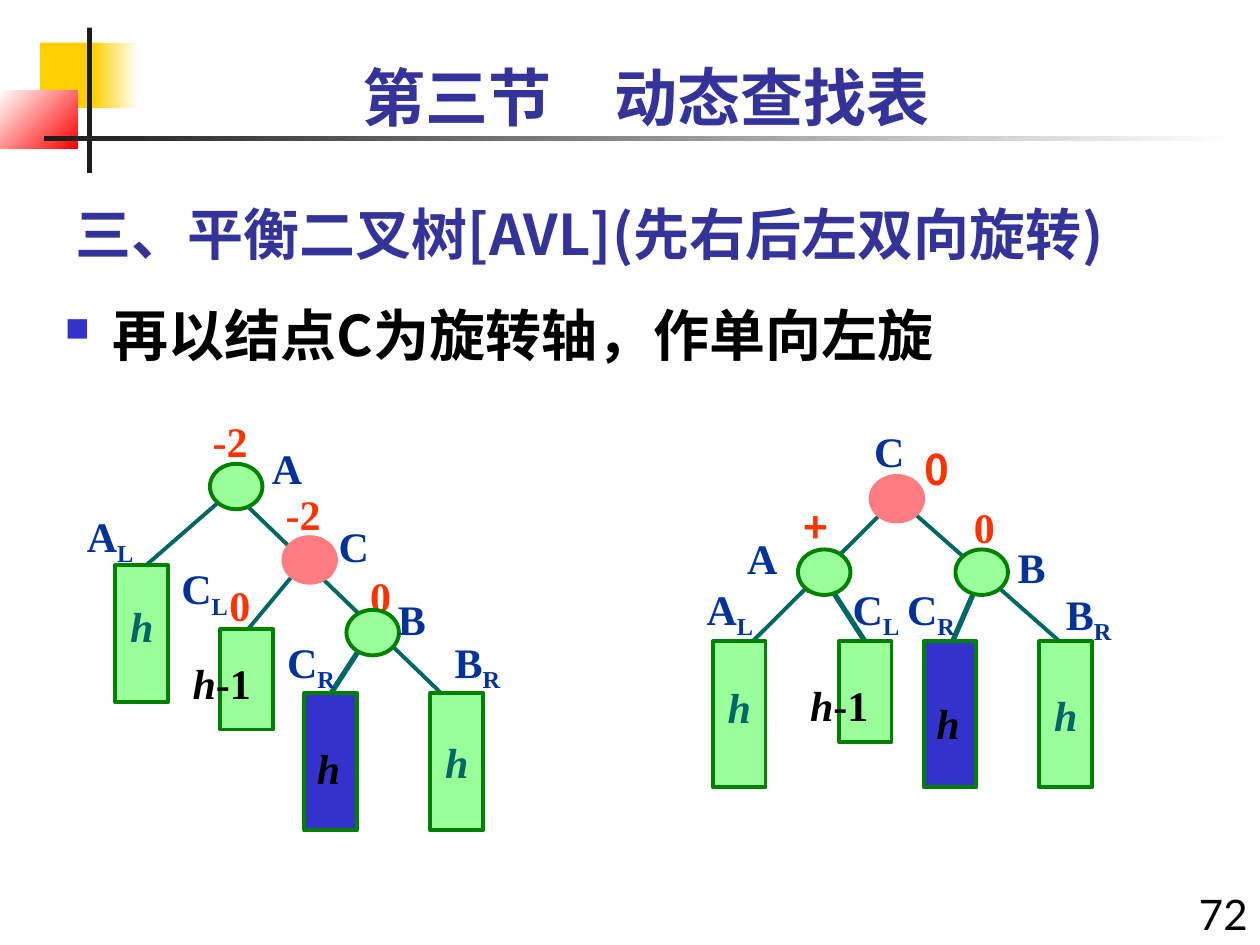
from dataclasses import dataclass

from lxml import etree
from pptx import Presentation
from pptx import util as u
from pptx.dml.color import RGBColor
from pptx.enum import shapes, text
from pptx.oxml.ns import qn

Pt = u.Pt
RECT = shapes.MSO_SHAPE.RECTANGLE
OVAL = shapes.MSO_SHAPE.OVAL


@dataclass(frozen=True)
class Theme:
    gold: str = "FFCF01"
    red: str = "FF0000"
    white: str = "FFFFFF"
    dark: str = "1C1C1C"
    black: str = "000000"
    title: str = "333399"
    blue: str = "3333CC"
    name: str = "003399"
    factor: str = "FF3300"
    teal: str = "006666"
    edge: str = "008000"
    green: str = "99FF99"
    pink: str = "FF7C80"
    sans: str = "Lato"
    han: str = "Noto Sans CJK SC"
    serif: str = "Times New Roman"
    big: int = 36
    head: int = 32
    small: int = 24
    thin: float = 2.25
    thick: float = 3


T = Theme()
NODE = 30, 26  # width, height of a tree node
BAR = 30       # width of a subtree bar


def rgb(code):
    return RGBColor.from_string(code)


def style(par, face, size, color, bold=True, slant=False):
    font = par.font
    font.name, font.size = face, Pt(size)
    font.bold, font.italic = bold, slant
    font.color.rgb = rgb(color)
    far = etree.SubElement(par._p.pPr.find(qn("a:defRPr")), qn("a:ea"))
    far.set("typeface", T.han)


def block(area, kind, x, y, w, h, fill, line=None):
    """Add a preset shape; a pair of fills makes a gradient."""
    shape = area.add_shape(kind, Pt(x), Pt(y), Pt(w), Pt(h))
    shape.shadow.inherit = False
    if isinstance(fill, tuple):
        shape.fill.gradient()
        for stop, code in zip(shape.fill.gradient_stops, fill):
            stop.color.rgb = rgb(code)
    else:
        shape.fill.solid()
        shape.fill.fore_color.rgb = rgb(fill)
    if line:
        shape.line.color.rgb = rgb(line)
        shape.line.width = Pt(T.thin)
    else:
        shape.line.fill.background()
    return shape


def box(area, x, y, w, h, wrap=True):
    frame = area.add_textbox(Pt(x), Pt(y), Pt(w), Pt(h)).text_frame
    frame.word_wrap = wrap
    return frame, frame.paragraphs[0]


def label(area, x, y, w, words, color, face=T.serif, sub="", slant=False):
    """Add a tree label, with an optional subscript."""
    par = box(area, x, y, w, 40 if sub else 36, wrap=False)[1]
    par.add_run().text = words
    if sub:
        run = par.add_run()
        run.text = sub
        run.font._element.set("baseline", "-25000")
    style(par, face, T.small, color, slant=slant)
    return par


def edge(area, x1, y1, x2, y2, width=T.thin):
    line = area.add_connector(shapes.MSO_CONNECTOR.STRAIGHT, Pt(x1), Pt(y1), Pt(x2), Pt(y2))
    line.line.color.rgb = rgb(T.teal)
    line.line.width = Pt(width)
    etree.SubElement(line._element.spPr, qn("a:effectLst"))


def bar(area, x, y, h, fill=T.green, words=""):
    shape = block(area, RECT, x, y, BAR, h, fill, T.edge)
    if words:
        frame = shape.text_frame
        frame.word_wrap = False
        frame.vertical_anchor = text.MSO_ANCHOR.MIDDLE
        par = frame.paragraphs[0]
        par.text = words
        par.alignment = text.PP_ALIGN.CENTER
        style(par, T.serif, T.small, T.teal, slant=True)
        return par


def tree(slide, edges, factors, nodes, bars, names, short, tall):
    """Draw one tree as a group, back to front."""
    area = slide.shapes.add_group_shape().shapes
    for item in edges:
        edge(area, *item)
    for x, y, w, words, face in factors:
        label(area, x, y, w, words, T.factor, face)
    for x, y, fill in nodes:
        block(area, OVAL, x, y, *NODE, fill, T.pink if fill == T.pink else T.edge)
    for item in bars:
        par = bar(area, *item)
        if par and item is bars[0]:
            par.line_spacing = 0.6
    for x, y, words, sub in names:
        label(area, x, y, 48 if sub else 33, words, T.name, sub=sub)

    # Heights of the two middle subtrees
    par = label(area, *short, 50, "h", T.black, slant=True)
    run = par.add_run()
    run.text = "-1"
    run.font.italic = False
    label(area, *tall, 30, "h", T.black, slant=True)


def decor(slide):
    area = slide.shapes
    block(area, RECT, 23, 24.3, 34.5, 37.5, T.gold)
    for x, y, w, h, fill, turn in (
        (53.3, 24.3, 25.5, 37.5, (T.gold, T.white), 0),
        (0, 51.8, 44.3, 33.2, (T.white, T.red), 315),
    ):
        block(area, RECT, x, y, w, h, fill).fill.gradient_angle = turn
    block(area, RECT, 49.8, 15.8, 2.7, 83, T.dark)
    block(area, RECT, 25.2, 77.7, 680.4, 2.8, (T.dark, T.white)).fill.gradient_angle = 0


def heads(slide):
    area = slide.shapes
    frame, par = box(area, 36, 102, 630, 54)
    frame.vertical_anchor = text.MSO_ANCHOR.BOTTOM
    par.text = "三、平衡二叉树[AVL](先右后左双向旋转)"
    style(par, T.han, T.head, T.title)

    par = box(area, 671.8, 504, 48.2, 42.5)[1]
    par.text = "72"
    par.alignment = text.PP_ALIGN.RIGHT
    style(par, T.sans, T.small, T.black, bold=False)

    par = box(area, 36, 30, 666, 50.4)[1]
    par.text = "第三节　动态查找表"
    par.alignment = text.PP_ALIGN.CENTER
    style(par, T.sans, T.big, T.title)

    # Bulleted line
    par = box(area, 30, 168, 690, 318)[1]
    par.text = "再以结点C为旋转轴，作单向左旋"
    props = par._p.get_or_add_pPr()
    props.set("marL", str(Pt(27)))
    props.set("indent", str(-Pt(27)))
    color = etree.SubElement(props, qn("a:buClr"))
    etree.SubElement(color, qn("a:srgbClr")).set("val", T.blue)
    etree.SubElement(props, qn("a:buSzPct")).set("val", "60000")
    etree.SubElement(props, qn("a:buChar")).set("char", "■")
    style(par, T.han, T.head, T.black)


def main():
    deck = Presentation()
    deck.slide_width, deck.slide_height = Pt(720), Pt(540)
    slide = deck.slides.add_slide(deck.slide_layouts[6])
    decor(slide)
    heads(slide)

    # Before the left rotation
    tree(
        slide,
        edges=[(210, 364, 186, 401, T.thick), (126, 286, 72, 333),
               (138, 286, 252, 396), (168, 328, 138, 364)],
        factors=[(204.5, 322.5, 28, "0", T.serif), (124, 327.5, 28, "0", T.serif),
                 (114.5, 234, 36, "-2", T.serif), (156.2, 275.8, 36, "-2", T.serif)],
        nodes=[(162, 307, T.pink), (120, 265, T.green), (198, 348.5, T.green)],
        bars=[(66, 322.8, 78.5, T.green, "h"), (246, 396, 78.5, T.green, "h"),
              (174, 396, 78.5, T.blue), (126, 359.3, 57.6)],
        names=[(148.3, 249.4, "A", ""), (220.3, 335.5, "B", ""), (186.5, 293.8, "C", ""),
               (42.5, 288, "A", "L"), (96.5, 318, "C", "L"),
               (157, 360, "C", "R"), (252.7, 360, "B", "R")],
        short=(103, 372), tall=(174, 421),
    )

    # After the left rotation
    tree(
        slide,
        edges=[(558, 335, 540, 376.5, T.thick), (522, 293, 605.5, 366.5),
               (504, 293, 420, 376.5), (474, 335, 497.5, 371.5, T.thick)],
        factors=[(521.3, 250, 30, "0", T.han), (452.2, 283, 38, "+1", T.han),
                 (549.4, 283, 28, "0", T.serif)],
        nodes=[(456, 314, T.green), (497.5, 272, T.pink), (546, 314, T.green)],
        bars=[(407.5, 366.5, 83.5, T.green, "h"), (594, 366.5, 83.5, T.green, "h"),
              (528, 366.5, 83.5, T.blue), (479.5, 366.5, 57.6)],
        names=[(419.8, 301, "A", ""), (574.5, 306, "B", ""), (492.5, 239.8, "C", ""),
               (396.7, 329.8, "A", "L"), (480.2, 329.8, "C", "L"),
               (511.2, 329.8, "C", "R"), (602, 332.6, "B", "R")],
        short=(455.8, 384.5), tall=(528, 395.3),
    )
    deck.save("out.pptx")


if __name__ == "__main__":
    main()
